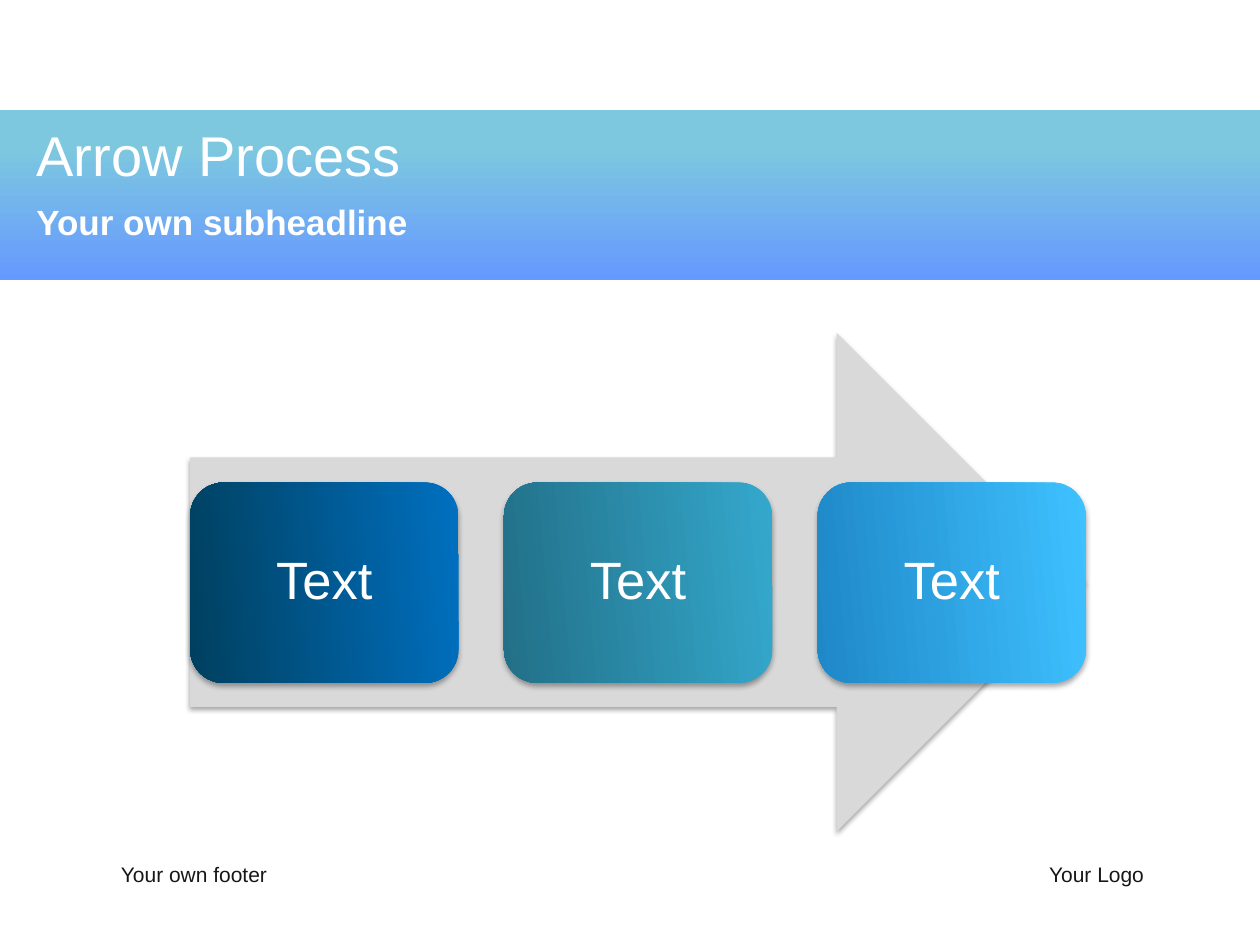
import pptx
import pptx.util
import pptx.oxml
from pptx.dml.color import RGBColor
from pptx.enum.shapes import MSO_SHAPE
from pptx.enum.text import MSO_ANCHOR, PP_ALIGN
from pptx.util import Inches

WHITE = RGBColor(0xFF, 0xFF, 0xFF)
INK = RGBColor(0x17, 0x17, 0x17)
GREY = RGBColor(0xD9, 0xD9, 0xD9)
AQUA = RGBColor(0x7D, 0xC8, 0xDF)
PERIWINKLE = RGBColor(0x66, 0x99, 0xFF)

# Text, start colour and end colour of each step
STEPS = [
    ("Text", RGBColor(0x00, 0x70, 0xC0), RGBColor(0x00, 0x40, 0x5F)),
    ("Text", RGBColor(0x34, 0xA8, 0xCC), RGBColor(0x22, 0x70, 0x88)),
    ("Text", RGBColor(0x3F, 0xC1, 0xFF), RGBColor(0x1F, 0x88, 0xC8)),
]
ARROW_LEFT, ARROW_WIDTH = 1.51, 7.11
STEP_WIDTH = 2.13

SHADOW_XML = (
    '<a:effectLst xmlns:a="http://schemas.openxmlformats.org/drawingml/2006/main">'
    '<a:outerShdw blurRad="39370" dist="22860" dir="5400000" rotWithShape="0">'
    '<a:srgbClr val="000000"><a:alpha val="35000"/></a:srgbClr>'
    '</a:outerShdw></a:effectLst>'
)


def set_text(sp, text, size, color, bold=False, align=PP_ALIGN.LEFT,
             anchor=MSO_ANCHOR.MIDDLE, inset=(0, 0), line_spacing=1.0):
    """Write one formatted paragraph; inset is (horizontal, vertical)."""
    tf = sp.text_frame
    across, down = (Inches(v) for v in inset)
    frame_format = {
        "word_wrap": True, "vertical_anchor": anchor,
        "margin_left": across, "margin_right": across,
        "margin_top": down, "margin_bottom": down,
    }
    for name, value in frame_format.items():
        setattr(tf, name, value)
    p = tf.paragraphs[0]
    p.alignment = align
    p.line_spacing = line_spacing
    r = p.add_run()
    r.text = text
    font_format = {"name": "Arial", "size": pptx.util.Pt(size), "bold": bold}
    for name, value in font_format.items():
        setattr(r.font, name, value)
    r.font.color.rgb = color


def add_text(slide, box, text, size, color, **text_format):
    sp = slide.shapes.add_textbox(*map(Inches, box))
    set_text(sp, text, size, color, **text_format)


def add_shape(slide, kind, box, shadow=False):
    sp = slide.shapes.add_shape(kind, *map(Inches, box))
    sp.shadow.inherit = False
    sp.line.fill.background()
    if shadow:
        props = sp._element.spPr
        props.remove(props.find(pptx.oxml.ns.qn("a:effectLst")))
        props.append(pptx.oxml.parse_xml(SHADOW_XML))
    return sp


def set_gradient(sp, stops, angle):
    """Fill with two (position, colour) stops; angle runs counter-clockwise."""
    sp.fill.gradient()
    sp.fill.gradient_angle = angle
    for stop, (position, color) in zip(sp.fill.gradient_stops, stops):
        stop.position = position
        stop.color.rgb = color


def add_header(slide):
    band = add_shape(slide, MSO_SHAPE.RECTANGLE, (0, 0.87, 10, 1.35))
    set_gradient(band, [(0.21, AQUA), (1, PERIWINKLE)], 270)
    title = slide.shapes.title
    title._element.addprevious(band._element)  # band goes behind the title
    place = {"left": 0.19, "top": 0.91, "width": 5.01, "height": 0.62}
    for name, value in place.items():
        setattr(title, name, Inches(value))
    set_text(title, "Arrow Process", 32, WHITE,
             anchor=MSO_ANCHOR.TOP, inset=(0.1, 0.05))
    add_text(slide, (0.19, 1.58, 7.1, 0.39), "Your own subheadline", 20, WHITE,
             bold=True, anchor=MSO_ANCHOR.BOTTOM, inset=(0.1, 0.05))


def add_footer(slide):
    add_text(slide, (0.96, 6.74, 1.68, 0.39), "Your own footer", 12, INK)
    add_text(slide, (7.4, 6.74, 1.68, 0.39), "Your Logo", 12, INK,
             align=PP_ALIGN.RIGHT)


def add_process(slide):
    arrow = add_shape(slide, MSO_SHAPE.RIGHT_ARROW,
                      (ARROW_LEFT, 2.64, ARROW_WIDTH, 3.96), shadow=True)
    arrow.fill.solid()
    arrow.fill.fore_color.rgb = GREY
    # Steps spread evenly from the arrow's tail to its tip
    pitch = (ARROW_WIDTH - STEP_WIDTH) / (len(STEPS) - 1)
    for i, (text, start, end) in enumerate(STEPS):
        box = (ARROW_LEFT + i * pitch, 3.83, STEP_WIDTH, 1.59)
        step = add_shape(slide, MSO_SHAPE.ROUNDED_RECTANGLE, box, shadow=True)
        set_gradient(step, [(0, start), (1, end)], 185)
        set_text(step, text, 30, WHITE, align=PP_ALIGN.CENTER,
                 inset=(0.12, 0.12), line_spacing=0.9)


def main():
    prs = pptx.Presentation()
    prs.slide_width, prs.slide_height = Inches(10), Inches(7.5)
    slide = prs.slides.add_slide(prs.slide_layouts[5])
    add_header(slide)
    add_footer(slide)
    add_process(slide)
    prs.save("out.pptx")


if __name__ == "__main__":
    main()
